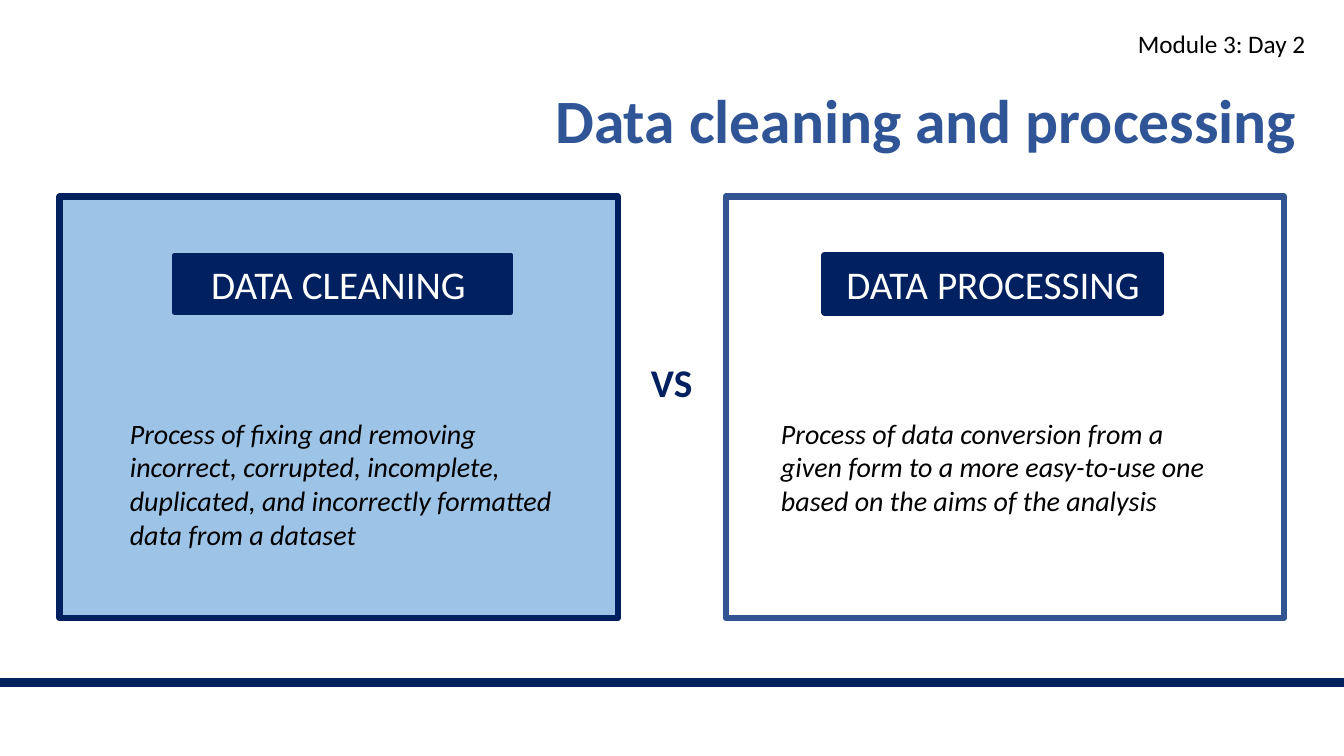
from dataclasses import dataclass
from typing import Optional

from lxml.etree import SubElement
from pptx import Presentation
from pptx.dml.color import RGBColor
from pptx.enum.shapes import MSO_CONNECTOR, MSO_SHAPE
from pptx.enum.text import MSO_ANCHOR, PP_ALIGN
from pptx.oxml.ns import qn
from pptx.shapes.autoshape import Shape
from pptx.slide import Slide
from pptx.util import Pt

NAVY = RGBColor(0x00, 0x20, 0x60)
BLUE = RGBColor(0x32, 0x54, 0x91)
TITLE_BLUE = RGBColor(0x2F, 0x55, 0x97)
SKY = RGBColor(0x9D, 0xC3, 0xE6)
WHITE = RGBColor(0xFF, 0xFF, 0xFF)
BLACK = RGBColor(0x00, 0x00, 0x00)

PAGE_WIDTH, PAGE_HEIGHT = 960, 540
PANEL_TOP, PANEL_WIDTH, PANEL_HEIGHT = 140.4, 398.9, 301
BANNER_TOP, BANNER_WIDTH, BANNER_HEIGHT = 182.2, 240.5, 41
DEFINITION_TOP, DEFINITION_WIDTH = 293.8, 316.8
FOOTER_TOP = 487.4


@dataclass(frozen=True)
class Area:
    left: float
    top: float
    width: float
    height: float

    def lengths(self) -> tuple[Pt, Pt, Pt, Pt]:
        return Pt(self.left), Pt(self.top), Pt(self.width), Pt(self.height)


@dataclass(frozen=True)
class Style:
    size: float
    color: RGBColor
    bold: bool = False
    italic: bool = False
    align: PP_ALIGN = PP_ALIGN.LEFT
    anchor: MSO_ANCHOR = MSO_ANCHOR.TOP
    line_spacing: Optional[float] = None


@dataclass(frozen=True)
class Concept:
    heading: str
    definition: str
    panel_left: float
    banner_left: float
    definition_left: float
    definition_height: float
    fill: Optional[RGBColor]
    border: RGBColor
    banner_border: float


BANNER = Style(28, WHITE, align=PP_ALIGN.CENTER)
DEFINITION = Style(20, BLACK, italic=True)
TITLE = Style(44, TITLE_BLUE, bold=True, align=PP_ALIGN.RIGHT,
              anchor=MSO_ANCHOR.MIDDLE, line_spacing=0.9)
VERSUS = Style(28, NAVY, bold=True)
MODULE = Style(18, BLACK)

CONCEPTS = [
    Concept("DATA CLEANING ",
            "Process of fixing and removing incorrect, corrupted, incomplete, "
            "duplicated, and incorrectly formatted data from a dataset",
            42.5, 124.6, 85.7, 104.4, SKY, NAVY, 3),
    Concept("DATA PROCESSING",
            "Process of data conversion from a given form to a more "
            "easy-to-use one based on the aims of the analysis",
            518.4, 589, 550.8, 79.9, None, BLUE, 4.5),
]


def write(box: Shape, text: str, style: Style) -> None:
    frame = box.text_frame
    frame.word_wrap = True
    frame.vertical_anchor = style.anchor
    para = frame.paragraphs[0]
    para.alignment = style.align
    if style.line_spacing:
        para.line_spacing = style.line_spacing
    span = para.add_run()
    span.text = text
    font = span.font
    font.name = "Calibri"
    font.size = Pt(style.size)
    font.bold = style.bold
    font.italic = style.italic
    font.color.rgb = style.color


def add_text(page: Slide, area: Area, text: str, style: Style) -> None:
    write(page.shapes.add_textbox(*area.lengths()), text, style)


def add_rectangle(page: Slide, area: Area, fill: Optional[RGBColor],
                  border: RGBColor, border_width: float) -> Shape:
    box = page.shapes.add_shape(MSO_SHAPE.RECTANGLE, *area.lengths())
    box.shadow.inherit = False
    if fill is None:
        box.fill.background()
    else:
        box.fill.solid()
        box.fill.fore_color.rgb = fill
    box.line.color.rgb = border
    box.line.width = Pt(border_width)
    return box


def add_concept(page: Slide, concept: Concept) -> None:
    """Draw a panel with its heading banner and definition."""
    add_rectangle(page, Area(concept.panel_left, PANEL_TOP, PANEL_WIDTH, PANEL_HEIGHT),
                  concept.fill, concept.border, 4.5)
    banner = add_rectangle(
        page, Area(concept.banner_left, BANNER_TOP, BANNER_WIDTH, BANNER_HEIGHT),
        NAVY, NAVY, concept.banner_border)
    write(banner, concept.heading, BANNER)
    add_text(page, Area(concept.definition_left, DEFINITION_TOP,
                        DEFINITION_WIDTH, concept.definition_height),
             concept.definition, DEFINITION)


def add_footer_line(page: Slide) -> None:
    rule = page.shapes.add_connector(MSO_CONNECTOR.STRAIGHT, Pt(0), Pt(FOOTER_TOP),
                                     Pt(PAGE_WIDTH), Pt(FOOTER_TOP))
    rule.line.color.rgb = NAVY
    rule.line.width = Pt(6)
    SubElement(rule.element.spPr, qn("a:effectLst"))


def main() -> None:
    deck = Presentation()
    deck.slide_width, deck.slide_height = Pt(PAGE_WIDTH), Pt(PAGE_HEIGHT)
    page = deck.slides.add_slide(deck.slide_layouts[6])
    add_footer_line(page)
    for concept in CONCEPTS:
        add_concept(page, concept)
    add_text(page, Area(358.6, 36, 575.3, 104.4), "Data cleaning and processing", TITLE)
    add_text(page, Area(457.9, 252.7, 51.1, 41), "VS", VERSUS)
    add_text(page, Area(805.7, 16.6, 150, 28.8), "Module 3: Day 2", MODULE)
    deck.save("out.pptx")


if __name__ == "__main__":
    main()
